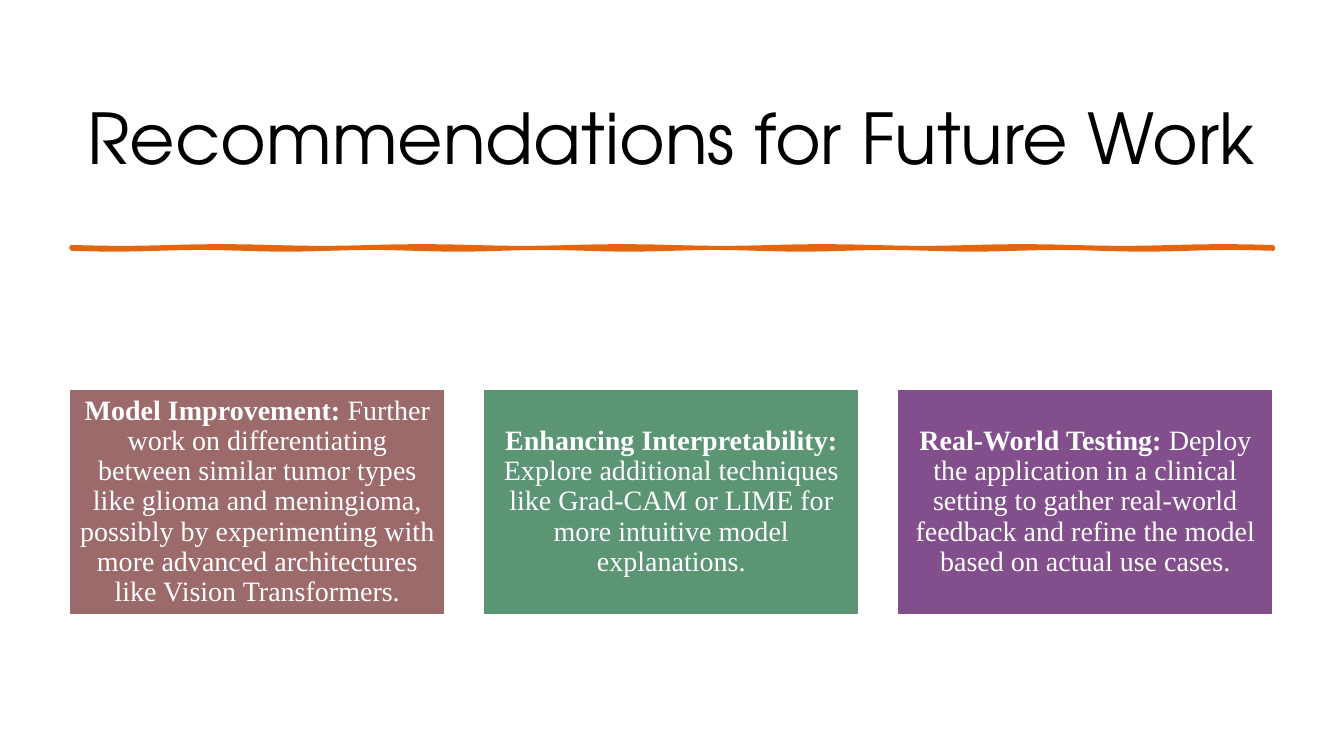
from dataclasses import dataclass
from math import pi, sin

from pptx import Presentation
from pptx.dml.color import RGBColor
from pptx.enum import shapes, text
from pptx.slide import Slide
from pptx.text.text import TextFrame
from pptx.util import Pt

WHITE = RGBColor(0xFF, 0xFF, 0xFF)
BLACK = RGBColor(0x00, 0x00, 0x00)
ORANGE = RGBColor(0xE4, 0x65, 0x0E)
ROSE = RGBColor(0x9C, 0x6A, 0x6A)
GREEN = RGBColor(0x5B, 0x95, 0x74)
PURPLE = RGBColor(0x82, 0x4F, 0x8C)

LEFT = 49.7
CARD_TOP, CARD_WIDTH, CARD_HEIGHT = 278, 268.3, 161
CARD_PITCH = 295.7
RULE_LEFT, RULE_WIDTH, RULE_Y = 51, 858.4, 177.1


@dataclass(frozen=True)
class Card:
    heading: str
    body: str
    color: RGBColor


CARDS = [
    Card("Model Improvement: ",
         "Further work on differentiating between similar tumor types like glioma "
         "and meningioma, possibly by experimenting with more advanced "
         "architectures like Vision Transformers.", ROSE),
    Card("Enhancing Interpretability: ",
         "Explore additional techniques like Grad-CAM or LIME for more intuitive "
         "model explanations.", GREEN),
    Card("Real-World Testing: ",
         "Deploy the application in a clinical setting to gather real-world "
         "feedback and refine the model based on actual use cases.", PURPLE),
]


def center_text(tf: TextFrame) -> None:
    tf.word_wrap = True
    tf.auto_size = text.MSO_AUTO_SIZE.NONE
    tf.vertical_anchor = text.MSO_ANCHOR.MIDDLE
    p = tf.paragraphs[0]
    p.alignment = text.PP_ALIGN.CENTER
    p.line_spacing = 0.9
    p.space_before = Pt(0)


def set_title(s: Slide, title: str) -> None:
    sp = s.shapes.title
    sp.left, sp.top, sp.width, sp.height = Pt(LEFT), Pt(49.7), Pt(859.7), Pt(103.7)
    sp.text_frame.text = title
    center_text(sp.text_frame)
    font = sp.text_frame.paragraphs[0].runs[0].font
    font.name, font.size = "TeX Gyre Adventor", Pt(50)
    font.color.rgb = BLACK


def add_brush_rule(s: Slide) -> None:
    """Draw a thin hand-drawn band whose two edges ripple at different rates."""
    def edge(offset: float, waves: int) -> list[tuple[int, int]]:
        steps = 120
        return [(Pt(RULE_LEFT + RULE_WIDTH * i / steps),
                 Pt(RULE_Y + offset + 0.6 * sin(2 * pi * waves * i / steps)))
                for i in range(steps + 1)]

    outline = edge(0.7, 7) + edge(-0.7, 6)[::-1]
    builder = s.shapes.build_freeform(*outline[0])
    builder.add_line_segments(outline[1:], close=True)
    sp = builder.convert_to_shape()
    sp.shadow.inherit = False
    sp.fill.solid()
    sp.fill.fore_color.rgb = ORANGE
    sp.line.color.rgb = ORANGE
    sp.line.width = Pt(2.75)


def add_card(s: Slide, card: Card, left: float) -> None:
    sp = s.shapes.add_shape(shapes.MSO_SHAPE.RECTANGLE, Pt(left), Pt(CARD_TOP),
                            Pt(CARD_WIDTH), Pt(CARD_HEIGHT))
    sp.shadow.inherit = False
    sp.fill.solid()
    sp.fill.fore_color.rgb = card.color
    sp.line.color.rgb = WHITE
    sp.line.width = Pt(1)
    tf = sp.text_frame
    tf.margin_left = tf.margin_right = tf.margin_top = tf.margin_bottom = Pt(6)
    center_text(tf)
    for content, bold in ((card.heading, True), (card.body, False)):
        r = tf.paragraphs[0].add_run()
        r.text = content
        r.font.name, r.font.size, r.font.bold = "Times New Roman", Pt(20), bold
        r.font.color.rgb = WHITE


def main() -> None:
    prs = Presentation()
    prs.slide_width, prs.slide_height = Pt(960), Pt(540)
    s = prs.slides.add_slide(prs.slide_layouts.get_by_name("Title Only"))
    set_title(s, "Recommendations for Future Work")
    add_brush_rule(s)
    for i, card in enumerate(CARDS):
        add_card(s, card, LEFT + i * CARD_PITCH)
    prs.save("out.pptx")


if __name__ == "__main__":
    main()
